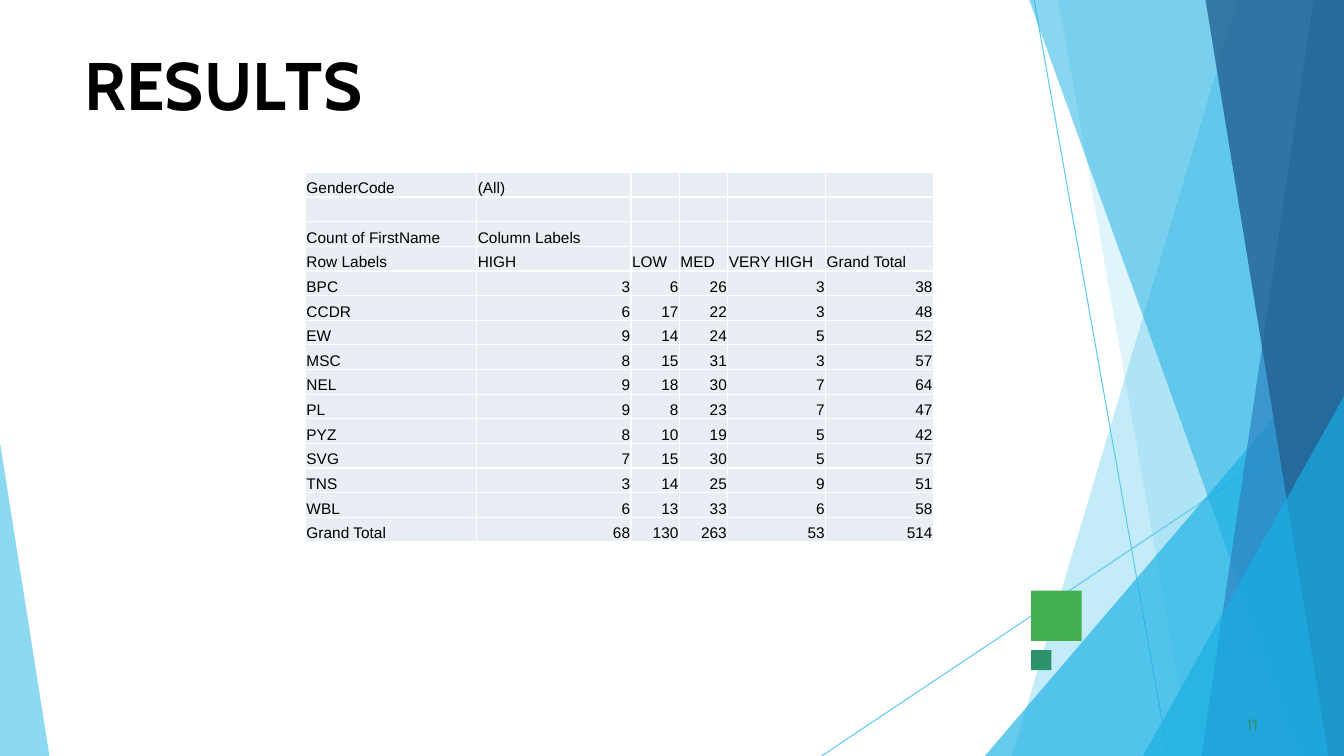
import pptx
import pptx.dml.color
import pptx.enum.shapes
import pptx.enum.text
import pptx.oxml.ns
import pptx.util
from lxml import etree

WIDTH, HEIGHT = pptx.util.Inches(13.333), pptx.util.Inches(7.5)

THEME = {
    "sky": "5FCAEE", "cyan": "17AFE3", "blue": "2D83C3", "navy": "226192",
    "green": "42AF51", "teal": "2D936B", "cell": "E9EDF4",
    "grid": "FFFFFF", "ink": "000000",
    "display": "Cabin", "body": "Arial",
    "title_size": 48, "small_size": 11, "hairline": 0.75, "border": 1,
}

# Positions are percentages of the slide's width and height
RAYS = [
    ((76.95, 0), (86.93, 100)),
    ((100, 53.87), (61.13, 100)),
]
RIGHT_BANDS = [  # top edge start (x, y), bottom x, colour, opacity
    (92.1, 0, 75.3, "sky", 37),
    (78.75, 0, 88.65, "sky", 20),
    (100, 44.4, 73.28, "cyan", 66),
    (76.58, 0, 96.83, "cyan", 51),
    (97.73, 0, 89.4, "blue", 71),
    (89.7, 0, 98.85, "navy", 80),
    (100, 52.4, 85.05, "cyan", 66),
]
LEFT_WEDGE = [(0, 58.53), (0, 100), (3.68, 100)]
SQUARES = [(76.73, 78.13, 3.75, "green"), (76.73, 86, 1.5, "teal")]

TITLE = [("R", 0), ("E", -0.4), ("S", 0.1), ("U", -0.3), ("L", -4.1), ("TS", 0)]
COLUMN_SHARES = [12.75, 11.48, 3.6, 3.6, 7.28, 8.03]
RESULTS = [
    ["GenderCode", "(All)"],
    [],
    ["Count of FirstName", "Column Labels"],
    ["Row Labels", "HIGH", "LOW", "MED", "VERY HIGH", "Grand Total"],
    ["BPC", 3, 6, 26, 3, 38],
    ["CCDR", 6, 17, 22, 3, 48],
    ["EW", 9, 14, 24, 5, 52],
    ["MSC", 8, 15, 31, 3, 57],
    ["NEL", 9, 18, 30, 7, 64],
    ["PL", 9, 8, 23, 7, 47],
    ["PYZ", 8, 10, 19, 5, 42],
    ["SVG", 7, 15, 30, 5, 57],
    ["TNS", 3, 14, 25, 9, 51],
    ["WBL", 6, 13, 33, 6, 58],
    ["Grand Total", 68, 130, 263, 53, 514],
]


def across(share):
    return round(WIDTH * share / 100)


def down(share):
    return round(HEIGHT * share / 100)


def color(name):
    return pptx.dml.color.RGBColor.from_string(THEME[name])


def child(parent, tag, **attributes):
    return etree.SubElement(parent, pptx.oxml.ns.qn(tag), attributes)


def apply(target, values):
    for name, value in values.items():
        setattr(target, name, value)


def paint(shape, fill, opacity=100):
    shape.shadow.inherit = False
    shape.line.fill.background()
    shape.fill.solid()
    shape.fill.fore_color.rgb = color(fill)
    if opacity < 100:
        tint = shape.fill._xPr.find(".//" + pptx.oxml.ns.qn("a:srgbClr"))
        child(tint, "a:alpha", val=str(opacity * 1000))


def add_ray(slide, start, end):
    ray = slide.shapes.add_connector(
        pptx.enum.shapes.MSO_CONNECTOR.STRAIGHT,
        across(start[0]), down(start[1]), across(end[0]), down(end[1]))
    ray.line.color.rgb = color("sky")
    ray.line.width = pptx.util.Pt(THEME["hairline"])
    child(ray._element.spPr, "a:effectLst")


def add_band(slide, corners, fill, opacity):
    points = [(across(x), down(y)) for x, y in corners]
    outline = slide.shapes.build_freeform(*points[0])
    outline.add_line_segments(points[1:], close=True)
    paint(outline.convert_to_shape(), fill, opacity)


def add_square(slide, x, y, side, fill):
    square = slide.shapes.add_shape(
        pptx.enum.shapes.MSO_SHAPE.RECTANGLE,
        across(x), down(y), across(side), across(side))
    paint(square, fill)


def style_run(run, font, size, ink, bold=False, spacing=0):
    apply(run.font, {"name": THEME[font], "size": pptx.util.Pt(THEME[size]), "bold": bold})
    run.font.color.rgb = color(ink)
    if spacing:
        run.font._element.set("spc", str(round(spacing * 100)))


def add_label(slide, x, y, w, h, pieces, indent, before, **style):
    frame = slide.shapes.add_textbox(across(x), down(y), across(w), down(h)).text_frame
    apply(frame, {"word_wrap": True, "margin_left": 0, "margin_right": 0,
                  "margin_top": pptx.util.Inches(0.01), "margin_bottom": 0})
    line = frame.paragraphs[0]
    line.space_before = pptx.util.Pt(before)
    line._p.get_or_add_pPr().set("marL", str(pptx.util.Inches(indent)))
    for text, spacing in pieces:
        run = line.add_run()
        run.text = text
        style_run(run, spacing=spacing, **style)


def fill_cell(cell, value):
    inset = pptx.util.Inches(0.01)
    apply(cell, {"margin_left": inset, "margin_right": inset, "margin_top": inset,
                 "margin_bottom": 0, "vertical_anchor": pptx.enum.text.MSO_ANCHOR.BOTTOM})
    line = cell.text_frame.paragraphs[0]
    if value is None:
        child(line._p, "a:endParaRPr", sz=str(THEME["small_size"] * 100))
    else:
        run = line.add_run()
        run.text = str(value)
        style_run(run, "body", "small_size", "ink")
    if isinstance(value, int):
        line.alignment = pptx.enum.text.PP_ALIGN.RIGHT
    # Borders come before the fill in the cell's properties
    for edge in ("a:lnL", "a:lnR", "a:lnT", "a:lnB"):
        border = child(cell._tc.get_or_add_tcPr(), edge,
                       w=str(pptx.util.Pt(THEME["border"])))
        child(child(border, "a:solidFill"), "a:srgbClr", val=THEME["grid"])
    cell.fill.solid()
    cell.fill.fore_color.rgb = color("cell")


def add_results(slide, x, y, height):
    table = slide.shapes.add_table(
        len(RESULTS), len(COLUMN_SHARES), across(x), down(y),
        across(sum(COLUMN_SHARES)), down(height)).table
    apply(table, {"first_row": False, "horz_banding": False})
    for column, share in zip(table.columns, COLUMN_SHARES):
        column.width = across(share)
    for row, values in zip(table.rows, RESULTS):
        row.height = down(height / len(RESULTS))
        padded = values + [None] * (len(COLUMN_SHARES) - len(values))
        for cell, value in zip(row.cells, padded):
            fill_cell(cell, value)


def main():
    deck = pptx.Presentation()
    apply(deck, {"slide_width": WIDTH, "slide_height": HEIGHT})
    slide = deck.slides.add_slide(deck.slide_layouts[6])

    # Backdrop of rays and translucent bands
    for start, end in RAYS:
        add_ray(slide, start, end)
    for x, y, foot, fill, opacity in RIGHT_BANDS:
        add_band(slide, [(100, y), (x, y), (foot, 100), (100, 100)], fill, opacity)
    add_band(slide, LEFT_WEDGE, "sky", 71)
    for square in SQUARES:
        add_square(slide, *square)

    # Title and page number
    add_label(slide, 6.23, 5.6, 23.33, 10.8, TITLE, 0.01, 1.1,
              font="display", size="title_size", ink="ink", bold=True)
    add_label(slide, 92.48, 94.4, 1.88, 2.53, [("11", 0.1)], 0.04, 0.5,
              font="display", size="small_size", ink="teal")

    # Pivot table of counts
    add_results(slide, 22.73, 22.8, 48.93)
    deck.save("out.pptx")


if __name__ == "__main__":
    main()
